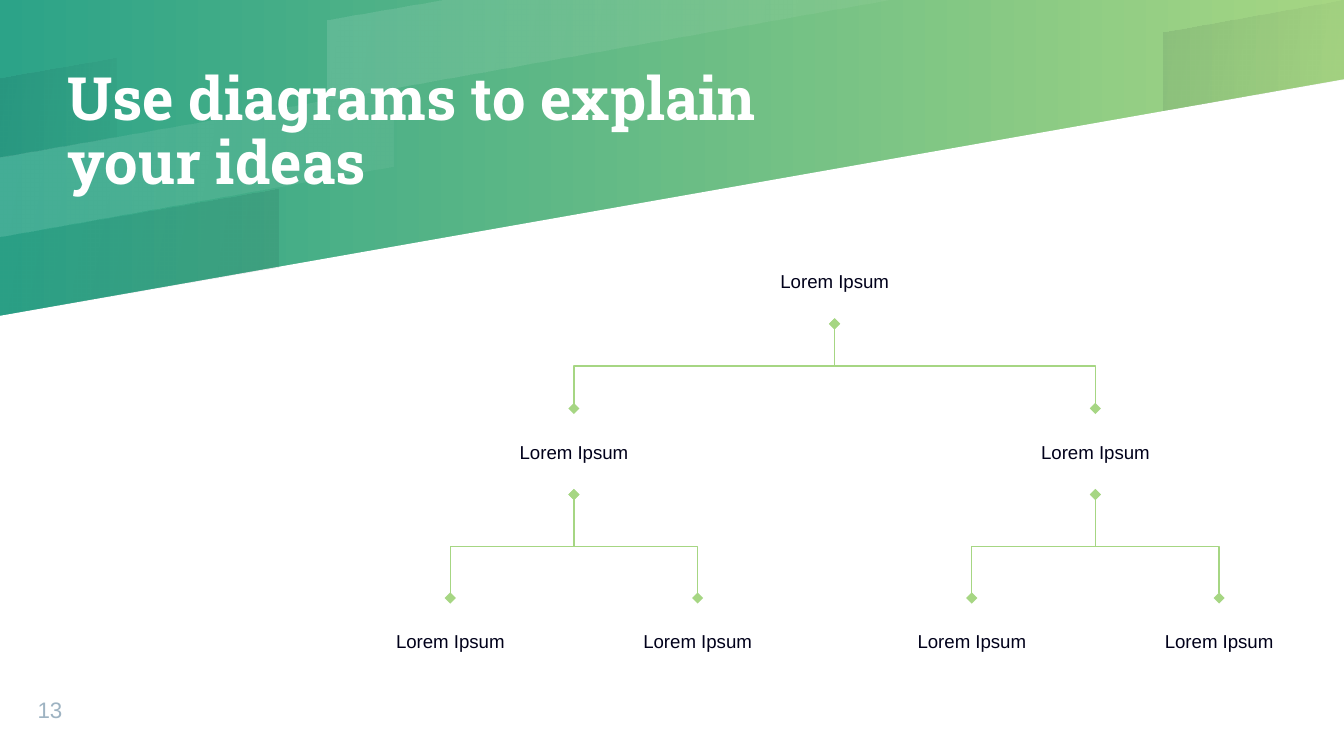
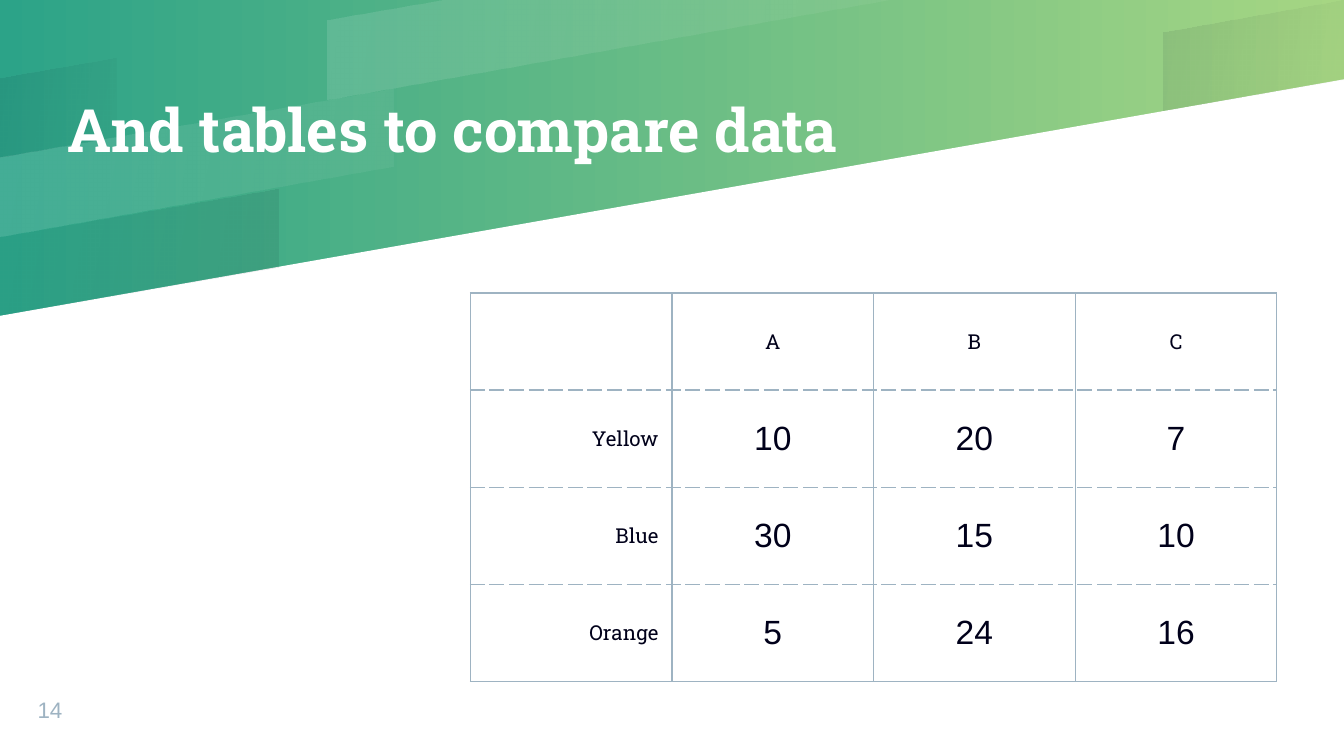
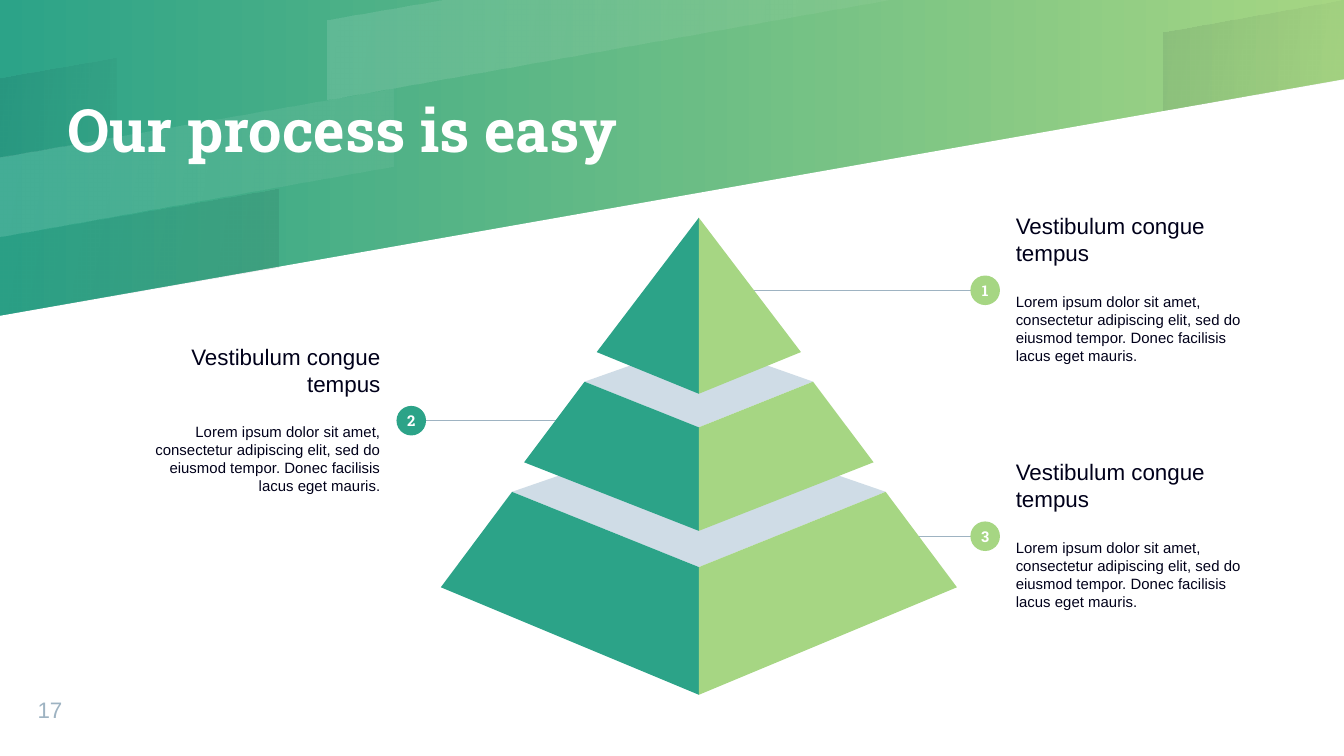
from pptx import Presentation
from pptx.dml.color import RGBColor
from pptx.enum.dml import MSO_LINE
from pptx.enum.shapes import MSO_CONNECTOR, MSO_SHAPE
from pptx.enum.text import MSO_ANCHOR, MSO_AUTO_SIZE, PP_ALIGN
from pptx.oxml.ns import qn
from pptx.util import Inches, Pt
from lxml.etree import SubElement

SLIDE_WIDTH = 10
SLIDE_HEIGHT = SLIDE_WIDTH * 9 / 16
COLORS = {
    "teal": "2CA388",
    "green": "A6D683",
    "ink": "00001A",
    "gray": "9EB3C2",
    "pale": "CFDCE6",
    "white": "FFFFFF",
}
BODY_FONT = "Arial"
TITLE_FONT = "Roboto Slab"
LINE_WIDTH = Pt(0.75)

# Each stripe: colour, opacity in percent at its left and right, outline
STRIPES = [
    ("white", (12, 5), [(3.32, 0), (2.44, 0.15), (2.44, 0.74), (6.65, 0)]),
    ("ink", (8, 2), [(0, 0.58), (0, 1.17), (0.87, 1.02), (0.87, 0.43)]),
    ("ink", (2, 8), [(0, 1.76), (0, 2.35), (2.07, 1.99), (2.07, 1.4)]),
    ("ink", (8, 2), [(10, 0), (8.66, 0.24), (8.66, 0.82), (10, 0.59)]),
    ("white", (12, 5), [(0, 1.17), (0, 1.76), (2.93, 1.24), (2.93, 0.66)]),
]

TABLE_ROWS = [
    ["", "A", "B", "C"],
    ["Yellow", "10", "20", "7"],
    ["Blue", "30", "15", "10"],
    ["Orange", "5", "24", "16"],
]

# Each tier: right face as (distance from axis, depth), depth of the lid's back
PYRAMID_TIERS = [
    ([(1.39, 2.04), (0, 2.6), (0, 3.55), (1.92, 2.75)], 1.56),
    ([(0.85, 1.22), (0, 1.56), (0, 2.33), (1.3, 1.82)], 0.92),
    ([(0, 0), (0, 1.31), (0.76, 1)], None),
]

CALLOUT_HEADING = "Vestibulum congue tempus"
CALLOUT_BODY = (
    "Lorem ipsum dolor sit amet, consectetur adipiscing elit, sed do "
    "eiusmod tempor. Donec facilisis lacus eget mauris."
)


def rgb(name):
    return RGBColor.from_string(COLORS[name])


def add_run(paragraph, text, size, color="ink", font=BODY_FONT, bold=False):
    run = paragraph.add_run()
    run.text = text
    run.font.size = Pt(size)
    run.font.name = font
    run.font.bold = bold
    run.font.color.rgb = rgb(color)
    return run


def set_frame(frame, inset=0.0, anchor=MSO_ANCHOR.MIDDLE):
    frame.word_wrap = True
    frame.auto_size = MSO_AUTO_SIZE.NONE
    frame.vertical_anchor = anchor
    frame.margin_left = frame.margin_right = Inches(inset)
    frame.margin_top = frame.margin_bottom = Inches(inset)


def add_text_box(shapes, left, top, width, height, **frame_options):
    box = shapes.add_textbox(Inches(left), Inches(top), Inches(width), Inches(height))
    set_frame(box.text_frame, **frame_options)
    return box


def add_polygon(shapes, points, color):
    (start_x, start_y), *others = [(Inches(x), Inches(y)) for x, y in points]
    builder = shapes.build_freeform(start_x, start_y)
    builder.add_line_segments(others, close=True)
    polygon = builder.convert_to_shape()
    polygon.shadow.inherit = False
    polygon.fill.solid()
    polygon.fill.fore_color.rgb = rgb(color)
    polygon.line.fill.background()
    return polygon


def set_gradient(fill, colors, angle=0):
    fill.gradient()
    fill.gradient_angle = angle
    for stop, color in zip(fill.gradient_stops, colors):
        stop.color.rgb = rgb(color)


def style_connector(connector, color):
    connector.line.color.rgb = rgb(color)
    connector.line.width = LINE_WIDTH
    SubElement(connector.element.spPr, qn("a:effectLst"))


def decorate_layout(layout, shapes):
    """Draw the shared backdrop through a slide's shapes, then move it to the layout."""
    for placeholder in list(layout.placeholders):
        if placeholder.placeholder_format.idx != 0:
            placeholder.element.getparent().remove(placeholder.element)
    set_gradient(layout.background.fill, ["teal", "green"])

    page = [(0, SLIDE_HEIGHT), (SLIDE_WIDTH, SLIDE_HEIGHT), (SLIDE_WIDTH, 0.59), (0, 2.35)]
    backdrop = [add_polygon(shapes, page, "white")]
    for color, opacities, points in STRIPES:
        stripe = add_polygon(shapes, points, color)
        set_gradient(stripe.fill, [color, color], angle=350)
        for stop_color, opacity in zip(stripe.element.iter(qn("a:srgbClr")), opacities):
            SubElement(stop_color, qn("a:alpha")).set("val", str(opacity * 1000))
        backdrop.append(stripe)
    for shape in backdrop:
        layout.shapes.element.append(shape.element)


def add_text_shadow(run):
    fill = run.font.fill and run.element.rPr if hasattr(run, "element") else run._r.rPr
    effects = SubElement(fill, qn("a:effectLst"))
    fill.find(qn("a:solidFill")).addnext(effects)
    shadow = SubElement(effects, qn("a:outerShdw"), blurRad="38100", dist="38100", dir="2700000")
    color = SubElement(shadow, qn("a:srgbClr"), val="000000")
    SubElement(color, qn("a:alpha"), val="30000")


def add_title_slide(presentation, layout, title_text, number):
    """Add a slide with its title and page number."""
    slide = presentation.slides.add_slide(layout)
    title = slide.shapes.title
    title.left, title.top = Inches(0.5), Inches(0)
    title.width, title.height = Inches(6), Inches(1.98)
    set_frame(title.text_frame)
    paragraph = title.text_frame.paragraphs[0]
    paragraph.alignment = PP_ALIGN.LEFT
    paragraph.line_spacing = 0.9
    add_text_shadow(add_run(paragraph, title_text, 32, "white", TITLE_FONT, bold=True))

    number_box = add_text_box(slide.shapes, 0.28, 5.11, 0.53, 0.27, anchor=MSO_ANCHOR.BOTTOM)
    add_run(number_box.text_frame.paragraphs[0], str(number), 12, "gray")
    return slide


def join_nodes(shapes, parent, child):
    """Join parent's bottom to child's top by a bend that leaves vertically."""
    connector = shapes.add_connector(MSO_CONNECTOR.ELBOW, 0, 0, 0, 0)
    connector.begin_connect(parent, 2)
    connector.end_connect(child, 0)
    start_x, end_x = connector.begin_x, connector.end_x
    start_y, end_y = connector.begin_y, connector.end_y
    drop, run = end_y - start_y, abs(end_x - start_x)
    connector.width, connector.height = drop, run
    connector.left = (start_x + end_x - drop) // 2
    connector.top = (start_y + end_y - run) // 2
    frame = connector.element.spPr.xfrm
    frame.flipH = end_x > start_x
    frame.rot = 270 if end_x > start_x else 90

    style_connector(connector, "green")
    line = connector.element.spPr.get_or_add_ln()
    for end in ("a:headEnd", "a:tailEnd"):
        SubElement(line, qn(end), type="diamond")


def add_tree(shapes, center, tops, spreads):
    """Add a node and, for each remaining spread, two children either side of it."""
    width, height = 1.68, 0.64
    node = add_text_box(shapes, center - width / 2, tops[0], width, height, inset=0.1)
    paragraph = node.text_frame.paragraphs[0]
    paragraph.alignment = PP_ALIGN.CENTER
    add_run(paragraph, "Lorem Ipsum", 10)
    if spreads:
        for side in (-1, 1):
            child = add_tree(shapes, center + side * spreads[0], tops[1:], spreads[1:])
            join_nodes(shapes, node, child)
    return node


def set_cell_borders(cell, top_dash, bottom_dash):
    properties = cell._tc.get_or_add_tcPr()
    dashes = {"a:lnL": "solid", "a:lnR": "solid", "a:lnT": top_dash, "a:lnB": bottom_dash}
    for position, (tag, dash) in enumerate(dashes.items()):
        line = SubElement(properties, qn(tag), w=str(LINE_WIDTH))
        fill = SubElement(line, qn("a:solidFill"))
        SubElement(fill, qn("a:srgbClr"), val=COLORS["gray"])
        SubElement(line, qn("a:prstDash"), val=dash)
        properties.insert(position, line)


def add_comparison_table(shapes, left, top, width, height):
    row_count, column_count = len(TABLE_ROWS), len(TABLE_ROWS[0])
    table = shapes.add_table(
        row_count, column_count, Inches(left), Inches(top), Inches(width), Inches(height)
    ).table
    table.first_row = table.horz_banding = False
    for row, texts in enumerate(TABLE_ROWS):
        for column, text in enumerate(texts):
            cell = table.cell(row, column)
            cell.fill.background()
            cell.vertical_anchor = MSO_ANCHOR.MIDDLE
            cell.margin_left = cell.margin_right = Inches(0.1)
            cell.margin_top = cell.margin_bottom = Inches(0.07)
            set_cell_borders(
                cell,
                "solid" if row == 0 else "lgDash",
                "solid" if row == row_count - 1 else "lgDash",
            )
            if not text:
                continue
            paragraph = cell.text_frame.paragraphs[0]
            paragraph.alignment = PP_ALIGN.RIGHT if column == 0 else PP_ALIGN.CENTER
            if row == 0 or column == 0:
                add_run(paragraph, text, 11, font=TITLE_FONT)
            else:
                add_run(paragraph, text, 18)


def add_callout(slide, left, top, number, color, target_x, on_right=True):
    """Add a text block whose numbered dot, on its inner side, has a line to target_x."""
    shapes = slide.shapes.add_group_shape().shapes
    width, height, diameter, gap = 2.04, 1.51, 0.22, 0.13
    dot_x = left - gap if on_right else left + width + gap
    dot_y = top + 0.77

    line = shapes.add_connector(
        MSO_CONNECTOR.STRAIGHT, Inches(target_x), Inches(dot_y), Inches(dot_x), Inches(dot_y)
    )
    style_connector(line, "gray")

    box = add_text_box(shapes, left, top, width, height, inset=0.1)
    heading = box.text_frame.paragraphs[0]
    body = box.text_frame.add_paragraph()
    body.space_before = Pt(14)
    add_run(heading, CALLOUT_HEADING, 12)
    add_run(body, CALLOUT_BODY, 8)
    for paragraph in (heading, body):
        paragraph.alignment = PP_ALIGN.LEFT if on_right else PP_ALIGN.RIGHT

    dot = shapes.add_shape(
        MSO_SHAPE.OVAL,
        Inches(dot_x - diameter / 2),
        Inches(dot_y - diameter / 2),
        Inches(diameter),
        Inches(diameter),
    )
    dot.shadow.inherit = False
    dot.fill.solid()
    dot.fill.fore_color.rgb = rgb(color)
    dot.line.fill.background()
    set_frame(dot.text_frame)
    dot.text_frame.word_wrap = False
    label = dot.text_frame.paragraphs[0]
    label.alignment = PP_ALIGN.CENTER
    add_run(label, str(number), 8, "white", TITLE_FONT, bold=True)


def add_pyramid(slide, axis, top):
    shapes = slide.shapes.add_group_shape().shapes
    for face, lid_back in PYRAMID_TIERS:
        if lid_back is not None:
            (shoulder, shoulder_depth), (_, ridge_depth) = face[:2]
            lid = [
                (axis - shoulder, top + shoulder_depth),
                (axis, top + ridge_depth),
                (axis + shoulder, top + shoulder_depth),
                (axis, top + lid_back),
            ]
            add_polygon(shapes, lid, "pale")
        for side, color in ((-1, "teal"), (1, "green")):
            points = [(axis + side * offset, top + depth) for offset, depth in face]
            add_polygon(shapes, points, color)


def main():
    presentation = Presentation()
    presentation.slide_width = Inches(SLIDE_WIDTH)
    presentation.slide_height = Inches(SLIDE_HEIGHT)
    layout = presentation.slide_layouts[5]

    diagram = add_title_slide(presentation, layout, "Use diagrams to explain your ideas", 13)
    decorate_layout(layout, diagram.shapes)
    add_tree(diagram.shapes, center=6.21, tops=[1.77, 3.04, 4.45], spreads=[1.94, 0.92])

    comparison = add_title_slide(presentation, layout, "And tables to compare data", 14)
    add_comparison_table(comparison.shapes, left=3.5, top=2.18, width=6, height=2.89)

    process = add_title_slide(presentation, layout, "Our process is easy", 17)
    add_callout(process, 7.46, 3.22, 3, "green", target_x=6.8)
    add_callout(process, 0.89, 2.36, 2, "teal", target_x=4.17, on_right=False)
    add_callout(process, 7.46, 1.39, 1, "green", target_x=5.56)
    add_pyramid(process, axis=5.2, top=1.62)

    presentation.save("out.pptx")


if __name__ == "__main__":
    main()
